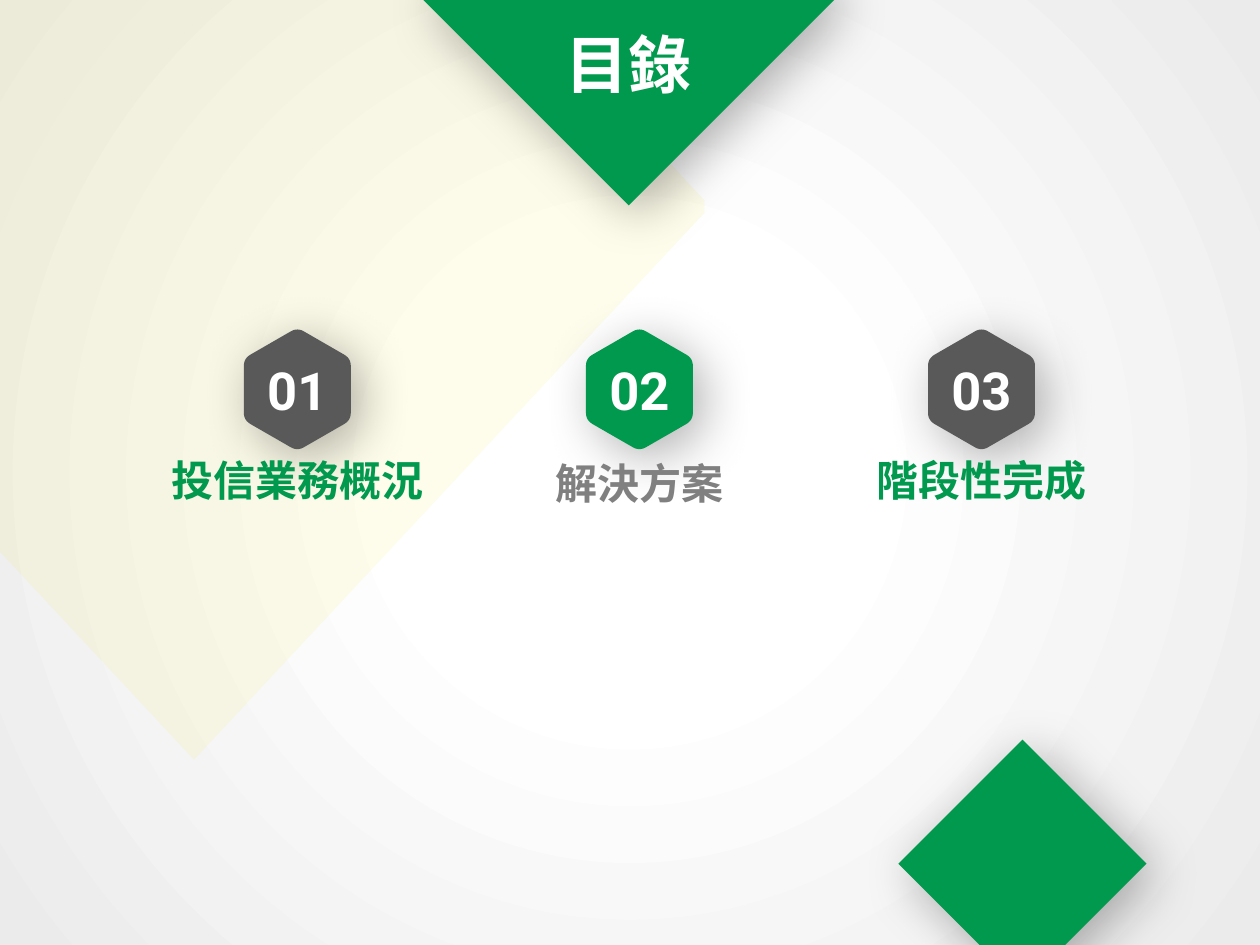
from math import cos, pi, sin

from lxml.etree import fromstring
from pptx import Presentation
from pptx.dml.color import RGBColor
from pptx.enum.shapes import MSO_SHAPE
from pptx.enum.text import MSO_ANCHOR, MSO_AUTO_SIZE, PP_ALIGN
from pptx.util import Inches, Pt

GREEN = RGBColor(0x00, 0x99, 0x4D)
DARK_GRAY = RGBColor(0x59, 0x59, 0x59)
GRAY = RGBColor(0x80, 0x80, 0x80)
WHITE = RGBColor(0xFF, 0xFF, 0xFF)
YELLOW = RGBColor(0xFA, 0xE8, 0x05)

TITLE = "目錄"
# number, hexagon colour, label, label colour, label top
SECTIONS = [
    ("01", DARK_GRAY, "投信業務概況", GREEN, 3.61),
    ("02", GREEN, "解決方案", GRAY, 3.63),
    ("03", DARK_GRAY, "階段性完成", GREEN, 3.61),
]
FIRST_CENTER, SECTION_STEP = 2.36, 2.715
HEXAGON_MIDDLE, HEXAGON_RADIUS, CORNER_CUT = 3.09, 0.49, 0.06
LABEL_WIDTH, LABEL_HEIGHT = 1.57, 0.5

DIAMONDS = [(3.35, -1.65, 3.28), (7.13, 5.87, 1.97)]  # left, top, size
BAND = [(4.11, 0), (0, 0), (0, 4.38), (1.54, 6.03), (5.59, 1.69), (5.59, 1.59)]

NAMESPACES = (
    'xmlns:a="http://schemas.openxmlformats.org/drawingml/2006/main" '
    'xmlns:p="http://schemas.openxmlformats.org/presentationml/2006/main"'
)
BACKGROUND = f"""<p:bg {NAMESPACES}><p:bgPr><a:gradFill rotWithShape="1"><a:gsLst>
<a:gs pos="28000"><a:srgbClr val="FFFFFF"/></a:gs>
<a:gs pos="100000"><a:srgbClr val="EBEBEB"/></a:gs></a:gsLst>
<a:path path="circle"><a:fillToRect l="50000" t="50000" r="50000" b="50000"/></a:path>
</a:gradFill><a:effectLst/></p:bgPr></p:bg>"""
SHADOW = f"""<a:effectLst {NAMESPACES}>
<a:outerShdw blurRad="{Pt(30)}" dist="{Pt(8)}" dir="2700000" algn="tl" rotWithShape="0">
<a:srgbClr val="000000"><a:alpha val="30000"/></a:srgbClr></a:outerShdw></a:effectLst>"""
ALPHA = f'<a:alpha {NAMESPACES} val="8000"/>'


def paint(shape, color, shadow=True):
    shape.fill.solid()
    shape.fill.fore_color.rgb = color
    shape.line.fill.background()
    shape.shadow.inherit = False
    if shadow:
        properties = shape._element.spPr
        properties.remove(properties.find("{*}effectLst"))
        properties.append(fromstring(SHADOW))


def write(shape, text, color, size, font, frame_format):
    frame = shape.text_frame
    for name, value in frame_format.items():
        setattr(frame, name, value)
    para = frame.paragraphs[0]
    para.alignment = PP_ALIGN.CENTER
    span = para.add_run()
    span.text = text
    for name, value in {"name": font, "size": Pt(size), "bold": True}.items():
        setattr(span.font, name, value)
    span.font.color.rgb = color


def add_polygon(shapes, points):
    corners = [(Inches(x), Inches(y)) for x, y in points]
    builder = shapes.build_freeform(*corners[0])
    builder.add_line_segments(corners[1:], close=True)
    return builder.convert_to_shape()


def rounded_hexagon(center, middle):
    """Outline points, each corner eased by a quadratic curve."""
    corners = [
        (center + HEXAGON_RADIUS * sin(i * pi / 3), middle - HEXAGON_RADIUS * cos(i * pi / 3))
        for i in range(6)
    ]
    cut = CORNER_CUT / HEXAGON_RADIUS
    points = []
    for i, corner in enumerate(corners):
        before, after = corners[i - 1], corners[(i + 1) % 6]
        for step in range(7):
            t = step / 6
            points.append(tuple(
                c + cut * ((1 - t) ** 2 * (b - c) + t ** 2 * (a - c))
                for b, c, a in zip(before, corner, after)
            ))
    return points


def add_section(page, center, number, fill, label, color, top):
    group = page.shapes.add_group_shape()
    hexagon = add_polygon(group.shapes, rounded_hexagon(center, HEXAGON_MIDDLE))
    paint(hexagon, fill)
    write(hexagon, number, WHITE, 30, "Roboto", {"vertical_anchor": MSO_ANCHOR.MIDDLE})
    box = group.shapes.add_textbox(
        Inches(center - LABEL_WIDTH / 2), Inches(top), Inches(LABEL_WIDTH), Inches(LABEL_HEIGHT)
    )
    write(box, label, color, 24, "Arial", {
        "word_wrap": False,
        "auto_size": MSO_AUTO_SIZE.NONE,
        "margin_left": Inches(0.16), "margin_right": Inches(0.16),
        "margin_top": 0, "margin_bottom": 0,
    })


def main():
    deck = Presentation()
    deck.slide_width, deck.slide_height = Inches(10), Inches(7.5)
    page = deck.slides.add_slide(deck.slide_layouts[5])
    page._element.cSld.insert(0, fromstring(BACKGROUND))

    band = add_polygon(page.shapes, BAND)
    paint(band, YELLOW, shadow=False)
    band._element.spPr.find("{*}solidFill")[0].append(fromstring(ALPHA))
    for left, top, size in DIAMONDS:
        diamond = page.shapes.add_shape(
            MSO_SHAPE.DIAMOND, Inches(left), Inches(top), Inches(size), Inches(size)
        )
        paint(diamond, GREEN)

    title = page.shapes.title
    title.left, title.top, title.width, title.height = map(Inches, (4.38, 0.15, 1.21, 0.71))
    write(title, TITLE, WHITE, 36, "Arial", {
        "word_wrap": False,
        "auto_size": MSO_AUTO_SIZE.SHAPE_TO_FIT_TEXT,
        "vertical_anchor": MSO_ANCHOR.TOP,
    })
    page.shapes._spTree.append(title._element)  # bring in front of the diamond

    for i, section in enumerate(SECTIONS):
        add_section(page, FIRST_CENTER + i * SECTION_STEP, *section)
    deck.save("out.pptx")


if __name__ == "__main__":
    main()
